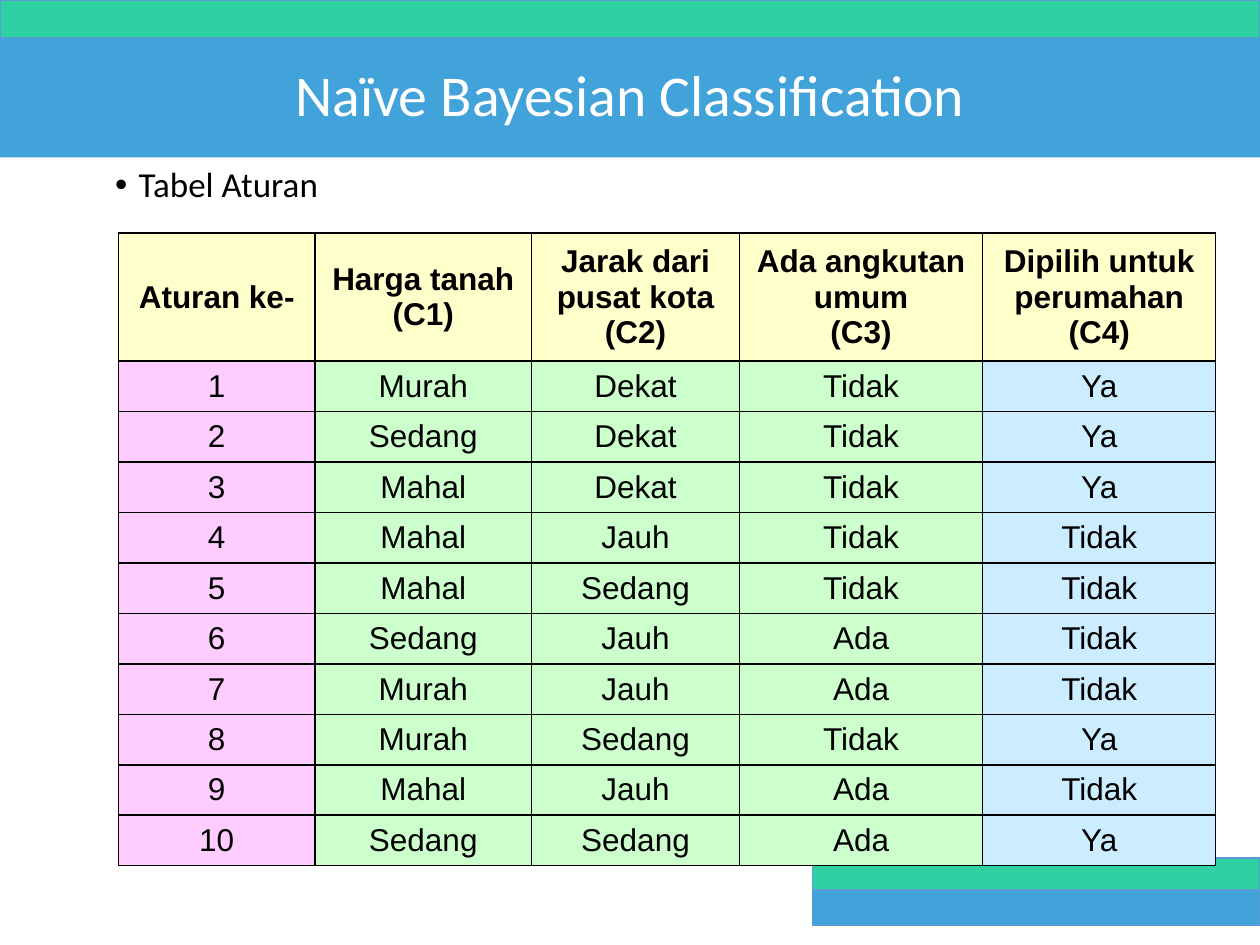
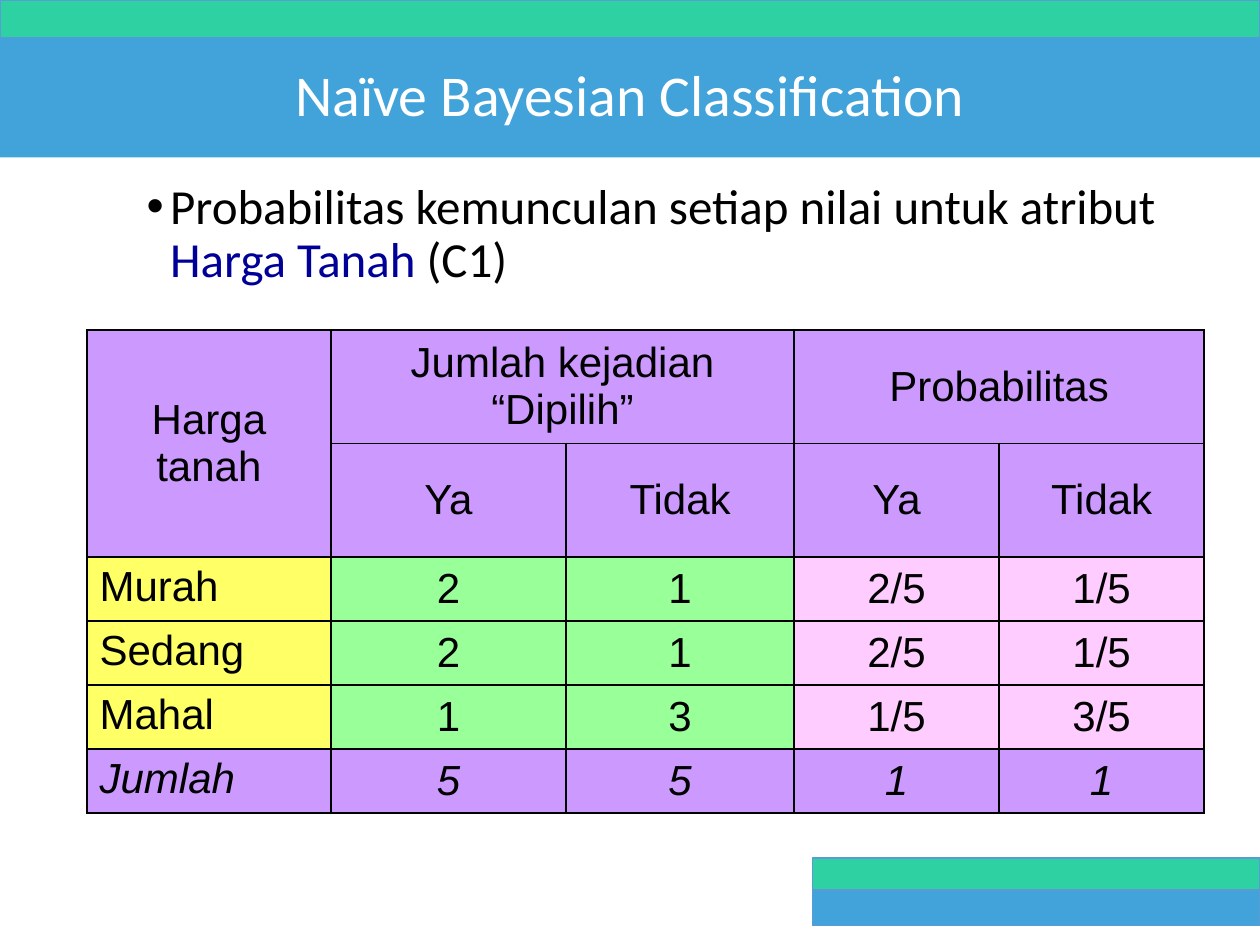
"""Build two slides on naive Bayesian classification with a rule table and a probability table."""
import pptx
import pptx.dml.color
import pptx.enum.shapes
import pptx.enum.text
import pptx.oxml.ns
import pptx.util
from lxml import etree

Pt = pptx.util.Pt
ALIGN = pptx.enum.text.PP_ALIGN
ANCHOR = pptx.enum.text.MSO_ANCHOR

COLORS = {
    "green": "2ED1A2", "blue": "42A2DA", "edge": "5B9BD5",
    "white": "FFFFFF", "black": "000000", "navy": "000099",
    "cream": "FFFFCC", "pink": "FFCCFF", "mint": "CCFFCC", "sky": "CCECFF",
    "purple": "CC99FF", "yellow": "FFFF66", "lime": "99FF99",
}
TITLE = "Naïve Bayesian Classification"
TITLE_BOX = (0, 21.6, 720, 68.4)
BANDS = [
    ("green", (0, 0, 720, 21.6)),
    ("blue", (0, 21.6, 720, 21.6)),
    ("green", (464.4, 490.3, 255.6, 18.3)),
    ("blue", (464.4, 508.6, 255.6, 20.4)),
]

RULES_BULLET = [("Tabel Aturan", "black")]
RULES_HEAD = ["Aturan ke-", "Harga tanah\n(C1)", "Jarak dari pusat kota\n(C2)",
              "Ada angkutan umum\n(C3)", "Dipilih untuk perumahan\n(C4)"]
RULES = [
    ("Murah", "Dekat", "Tidak", "Ya"),
    ("Sedang", "Dekat", "Tidak", "Ya"),
    ("Mahal", "Dekat", "Tidak", "Ya"),
    ("Mahal", "Jauh", "Tidak", "Tidak"),
    ("Mahal", "Sedang", "Tidak", "Tidak"),
    ("Sedang", "Jauh", "Ada", "Tidak"),
    ("Murah", "Jauh", "Ada", "Tidak"),
    ("Murah", "Sedang", "Tidak", "Ya"),
    ("Mahal", "Jauh", "Ada", "Tidak"),
    ("Sedang", "Sedang", "Ada", "Ya"),
]
RULES_FILLS = ["pink", "mint", "mint", "mint", "sky"]
RULES_WIDTHS = [112.3, 123.8, 118.8, 139, 133.2]

PRICE_BULLET = [("Probabilitas kemunculan setiap nilai untuk atribut ", "black"),
                ("Harga Tanah", "navy"), (" (C1)", "black")]
PRICE_HEAD = [
    ("Harga tanah", "Jumlah kejadian “Dipilih”", "", "Probabilitas", ""),
    ("", "Ya", "Tidak", "Ya", "Tidak"),
]
PRICES = [
    ("Murah", "2", "1", "2/5", "1/5"),
    ("Sedang", "2", "1", "2/5", "1/5"),
    ("Mahal", "1", "3", "1/5", "3/5"),
]
PRICE_TOTAL = ("Jumlah", "5", "5", "1", "1")
PRICE_FILLS = ["yellow", "lime", "lime", "pink", "pink"]
PRICE_WIDTHS = [139.4, 134.4, 130.3, 117.2, 117.2]
PRICE_MERGES = [((0, 0), (1, 0)), ((0, 1), (0, 2)), ((0, 3), (0, 4))]


def rgb(name):
    return pptx.dml.color.RGBColor.from_string(COLORS[name])


def set_font(font, size, face, color="black"):
    font.size, font.name = Pt(size), face
    font.color.rgb = rgb(color)


def add_child(parent, tag, **attributes):
    return etree.SubElement(parent, pptx.oxml.ns.qn(tag), attributes)


def add_band(page, color, place, edge=True):
    band = page.shapes.add_shape(pptx.enum.shapes.MSO_SHAPE.RECTANGLE, *map(Pt, place))
    band.shadow.inherit = False
    band.fill.solid()
    band.fill.fore_color.rgb = rgb(color)
    if edge:
        band.line.color.rgb = rgb("edge")
        band.line.width = Pt(0.9)
    else:
        band.line.fill.background()
    return band


def add_page(deck):
    page = deck.slides.add_slide(deck.slide_layouts[6])
    for color, place in BANDS:
        add_band(page, color, place)
    frame = add_band(page, "blue", TITLE_BOX, edge=False).text_frame
    frame.vertical_anchor = ANCHOR.MIDDLE
    para = frame.paragraphs[0]
    para.text, para.alignment, para.line_spacing = TITLE, ALIGN.CENTER, 0.9
    set_font(para.font, 33, "Calibri", "white")
    return page


def add_bullet(page, place, spans, size):
    frame = page.shapes.add_textbox(*map(Pt, place)).text_frame
    frame.word_wrap = True
    para = frame.paragraphs[0]
    para.line_spacing = 0.9
    properties = para._p.get_or_add_pPr()
    properties.set("marL", str(Pt(40.5)))
    properties.set("indent", str(Pt(-13.5)))
    add_child(properties, "a:buFont", typeface="Arial")
    add_child(properties, "a:buChar", char="•")
    set_font(para.font, size, "Calibri")
    for text, color in spans:
        span = para.add_run()
        span.text = text
        set_font(span.font, size, "Calibri", color)


def add_borders(cell):
    properties = cell._tc.get_or_add_tcPr()
    for side in ("a:lnL", "a:lnR", "a:lnT", "a:lnB"):
        line = add_child(properties, side, w=str(Pt(1)))
        add_child(add_child(line, "a:solidFill"), "a:srgbClr", val=COLORS["black"])


def add_grid(page, corner, widths, heights, rows, fills, size, merges=()):
    place = (*corner, sum(widths), sum(heights))
    table = page.shapes.add_table(len(rows), len(widths), *map(Pt, place)).table
    for column, width in zip(table.columns, widths):
        column.width = Pt(width)
    for row, height, texts, colors in zip(table.rows, heights, rows, fills):
        row.height = Pt(height)
        for cell, text, color in zip(row.cells, texts, colors):
            add_borders(cell)
            cell.fill.solid()
            cell.fill.fore_color.rgb = rgb(color)
            cell.vertical_anchor = ANCHOR.MIDDLE
            cell.text = text
            for para in cell.text_frame.paragraphs:
                para.alignment = ALIGN.CENTER
                set_font(para.font, size, "Arial")
                para.font.bold = False
    for first, last in merges:
        table.cell(*first).merge(table.cell(*last))
    return table


def build_rules(deck):
    page = add_page(deck)
    add_bullet(page, (31.7, 92.2, 318.2, 38.9), RULES_BULLET, 20)
    rows = [RULES_HEAD] + [(str(number), *rule) for number, rule in enumerate(RULES, 1)]
    fills = [["cream"] * 5] + [RULES_FILLS] * len(RULES)
    heights = [73.2] + [27.4] * len(RULES)
    table = add_grid(page, (67.7, 133.2), RULES_WIDTHS, heights, rows, fills, 18)
    for cell in table.rows[0].cells:
        for para in cell.text_frame.paragraphs:
            para.font.bold = True


def build_prices(deck):
    page = add_page(deck)
    add_bullet(page, (49.7, 100.8, 620.6, 33.1), PRICE_BULLET, 28)
    rows = [*PRICE_HEAD, *PRICES, PRICE_TOTAL]
    purple = ["purple"] * 5
    fills = [purple, purple, *[PRICE_FILLS] * len(PRICES), purple]
    heights = [60.6] * 2 + [36.6] * 4
    table = add_grid(page, (49.7, 188.6), PRICE_WIDTHS, heights, rows, fills, 24, PRICE_MERGES)
    for index in range(len(PRICE_HEAD), len(rows)):
        label = table.cell(index, 0)
        label.vertical_anchor = ANCHOR.TOP
        label.text_frame.paragraphs[0].alignment = ALIGN.LEFT
    for cell in table.rows[len(rows) - 1].cells:
        cell.text_frame.paragraphs[0].font.italic = True


def main():
    deck = pptx.Presentation()
    deck.slide_width, deck.slide_height = Pt(720), Pt(540)
    build_rules(deck)
    build_prices(deck)
    deck.save("out.pptx")


if __name__ == "__main__":
    main()
